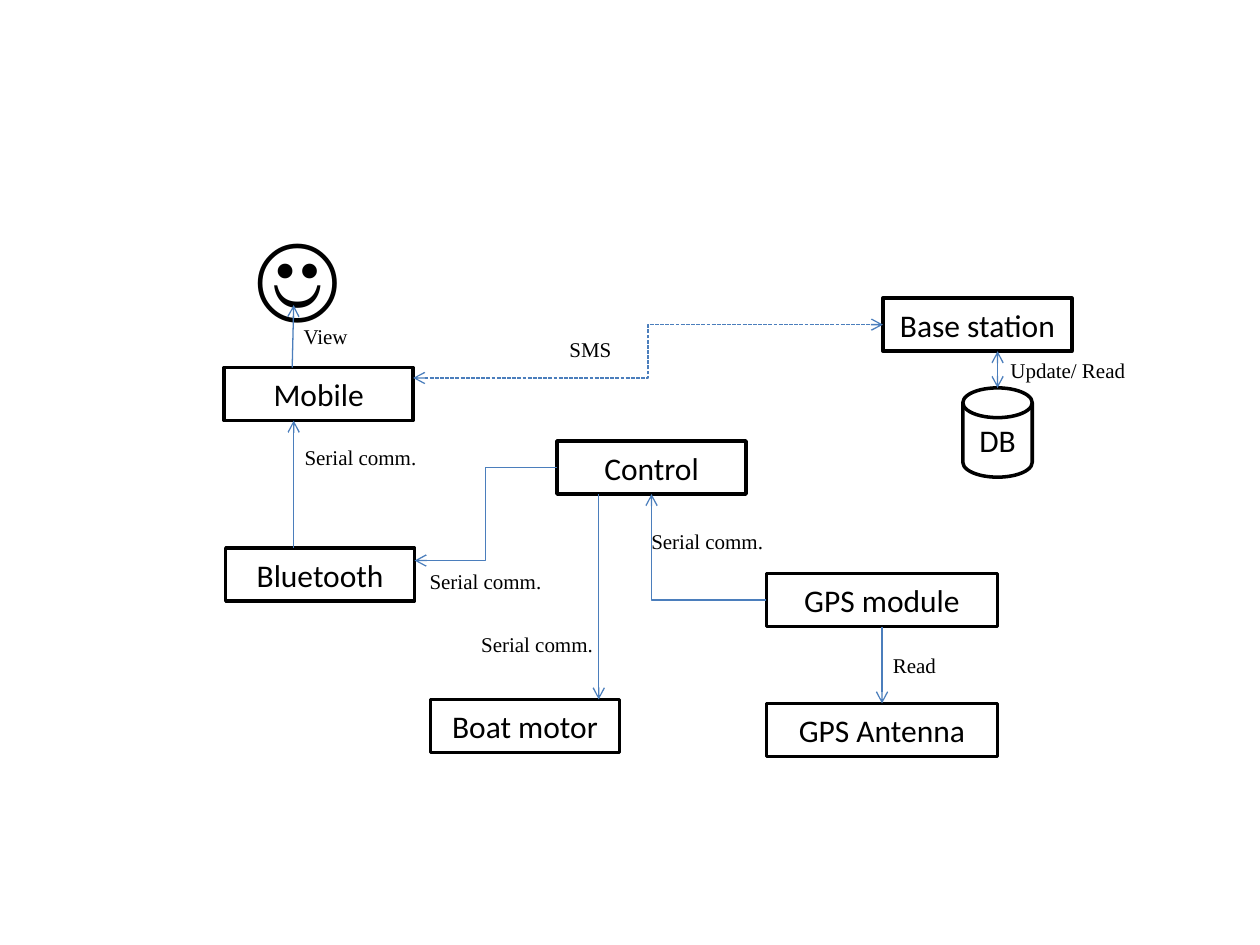
"""Build a block diagram of a GPS-guided boat and its communication links."""
from lxml import etree
from pptx import Presentation
from pptx.dml.color import RGBColor
from pptx.enum import dml, shapes, text
from pptx.oxml import ns
from pptx.util import Cm, Pt

COLORS = {"ink": "000000", "paper": "FFFFFF", "link": "4B7EBC"}


def style_text(sp, words, size, font, align):
    tf = sp.text_frame
    tf.text = words
    p = tf.paragraphs[0]
    p.alignment = align
    r = p.runs[0]
    r.font.size, r.font.name = Pt(size), font
    r.font.color.rgb = RGBColor.from_string(COLORS["ink"])


prs = Presentation()
prs.slide_width, prs.slide_height = Cm(25.4), Cm(19.05)
s = prs.slides.add_slide(prs.slide_layouts[6])

RECT = shapes.MSO_SHAPE.RECTANGLE
DISK = shapes.MSO_SHAPE.FLOWCHART_MAGNETIC_DISK
blocks = {}
for name, kind, x, y, w, h in [
    ("Control", RECT, 11.23, 8.89, 3.81, 1.07),
    ("GPS module", RECT, 15.45, 11.56, 4.66, 1.07),
    ("Bluetooth", RECT, 4.55, 11.05, 3.81, 1.07),
    ("GPS Antenna", RECT, 15.45, 14.18, 4.66, 1.07),
    ("Boat motor", RECT, 8.68, 14.1, 3.81, 1.07),
    ("Mobile", RECT, 4.52, 7.41, 3.81, 1.07),
    ("Base station", RECT, 17.8, 6.01, 3.81, 1.07),
    ("DB", DISK, 19.41, 7.82, 1.4, 1.8),
]:
    sp = s.shapes.add_shape(kind, Cm(x), Cm(y), Cm(w), Cm(h))
    sp.shadow.inherit = False
    sp.fill.solid()
    sp.fill.fore_color.rgb = RGBColor.from_string(COLORS["paper"])
    sp.line.color.rgb = RGBColor.from_string(COLORS["ink"])
    sp.line.width = Pt(2)
    sp.text_frame.vertical_anchor = text.MSO_ANCHOR.MIDDLE
    style_text(sp, name, 18, "Calibri", text.PP_ALIGN.CENTER)
    blocks[name] = sp

user = s.shapes.add_textbox(Cm(4.88), Cm(4.24), Cm(3.18), Cm(2.57))
user.text_frame.word_wrap = True
user.text_frame.auto_size = text.MSO_AUTO_SIZE.SHAPE_TO_FIT_TEXT
style_text(user, "☺", 54, "Calibri", text.PP_ALIGN.LEFT)

STRAIGHT, ELBOW = shapes.MSO_CONNECTOR.STRAIGHT, shapes.MSO_CONNECTOR.ELBOW
links = [
    (STRAIGHT, 17.78, 12.63, 17.78, 14.18, ("GPS module", 2), ("GPS Antenna", 0)),
    (ELBOW, 15.45, 12.09, 13.13, 9.96, ("GPS module", 1), ("Control", 2)),
    (STRAIGHT, 12.07, 9.96, 12.07, 14.1, None, None),
    (ELBOW, 11.23, 9.42, 8.36, 11.3, ("Control", 1), None),
    (STRAIGHT, 5.92, 11.05, 5.92, 8.48, None, None),
    (ELBOW, 8.33, 7.62, 17.8, 6.55, None, ("Base station", 1)),
    (STRAIGHT, 5.89, 7.41, 5.92, 6.15, None, None),
    (STRAIGHT, 20.11, 7.08, 20.11, 7.82, None, None),
]
two_way, dashed, single_bend = (5, 7), (5,), (1,)
for i, (kind, x1, y1, x2, y2, begin, end) in enumerate(links):
    c = s.shapes.add_connector(kind, Cm(x1), Cm(y1), Cm(x2), Cm(y2))
    if begin:
        c.begin_connect(blocks[begin[0]], begin[1])
    if end:
        c.end_connect(blocks[end[0]], end[1])
    c.line.color.rgb = RGBColor.from_string(COLORS["link"])
    c.line.width = Pt(0.75)
    if i in dashed:
        c.line.dash_style = dml.MSO_LINE.SQUARE_DOT
    spPr = c._element.spPr
    if i in single_bend:
        spPr.find(ns.qn("a:prstGeom")).set("prst", "bentConnector2")
    ln = spPr.find(ns.qn("a:ln"))
    for tag in ("a:headEnd", "a:tailEnd") if i in two_way else ("a:tailEnd",):
        etree.SubElement(ln, ns.qn(tag), type="arrow")
    etree.SubElement(spPr, ns.qn("a:effectLst"))

for words, x, y, w in [
    ("Serial comm.", 5.89, 8.84, 2.79),
    ("Serial comm.", 8.41, 11.33, 2.79),
    ("Serial comm.", 9.45, 12.6, 2.79),
    ("Serial comm.", 12.88, 10.54, 2.79),
    ("Read", 17.75, 13.03, 1.4),
    ("SMS", 11.23, 6.65, 1.37),
    ("View", 5.87, 6.4, 1.42),
    ("Update/ Read", 20.12, 7.09, 2.87),
]:
    label = s.shapes.add_textbox(Cm(x), Cm(y), Cm(w), Cm(0.77))
    label.text_frame.word_wrap = False
    label.text_frame.auto_size = text.MSO_AUTO_SIZE.SHAPE_TO_FIT_TEXT
    style_text(label, words, 12, "Times New Roman", text.PP_ALIGN.LEFT)

prs.save("out.pptx")
